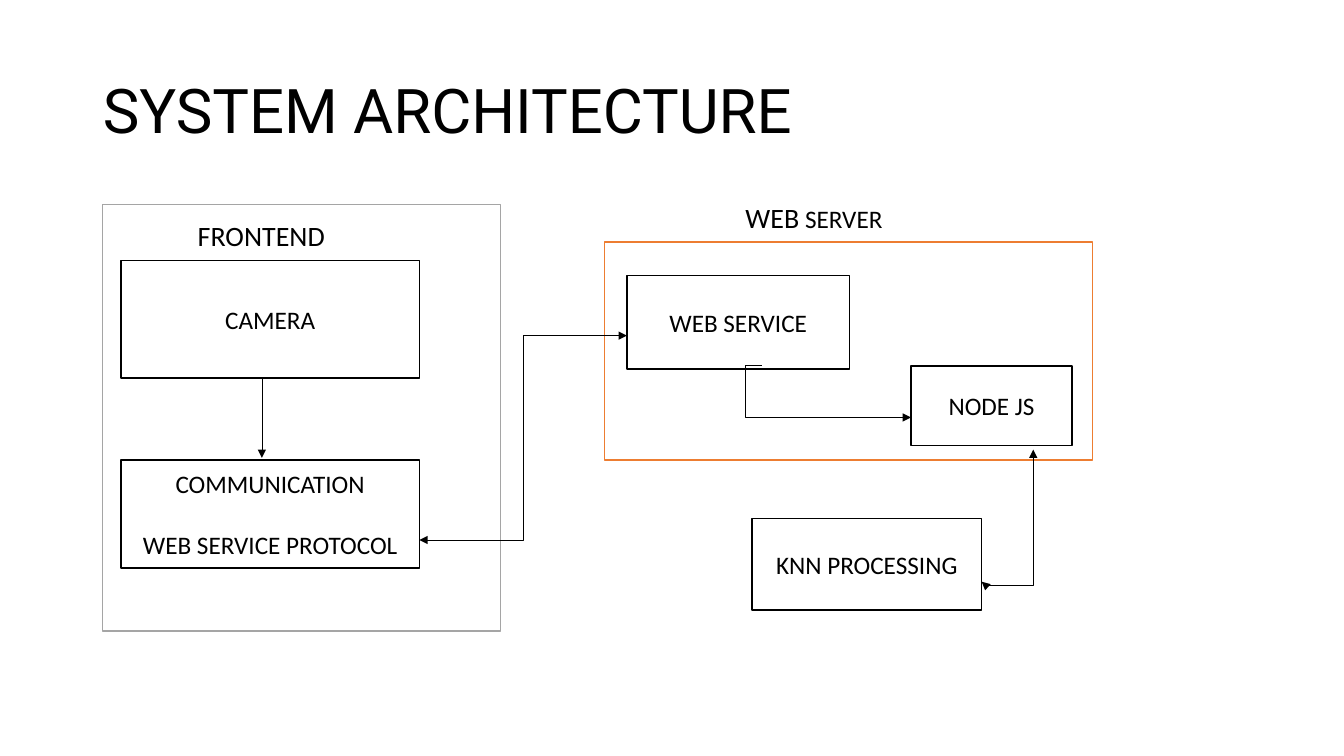
from dataclasses import dataclass

from lxml.etree import SubElement
from pptx import Presentation
from pptx.dml.color import RGBColor
from pptx.enum.shapes import MSO_CONNECTOR, MSO_SHAPE
from pptx.enum.text import MSO_ANCHOR, MSO_AUTO_SIZE, PP_ALIGN
from pptx.oxml.ns import qn
from pptx.util import Cm, Pt


@dataclass(frozen=True)
class Theme:
    ink: RGBColor = RGBColor(0x00, 0x00, 0x00)
    paper: RGBColor = RGBColor(0xFF, 0xFF, 0xFF)
    frontend: RGBColor = RGBColor(0xA5, 0xA5, 0xA5)
    server: RGBColor = RGBColor(0xED, 0x7D, 0x31)
    title_font: str = "Roboto"
    body_font: str = "Calibri"
    title_size: Pt = Pt(44)
    label_size: Pt = Pt(20)
    body_size: Pt = Pt(18)
    paragraph_gap: Pt = Pt(22)
    outline: Pt = Pt(1)
    link: Pt = Pt(0.5)


THEME = Theme()


@dataclass(frozen=True)
class Box:
    """A rectangle in centimetres."""
    left: float
    top: float
    width: float
    height: float

    def inside(self, left, top, width, height):
        return Box(self.left + left, self.top + top, width, height)

    def point(self, across, down):
        return self.left + across, self.top + down

    def lengths(self):
        return Cm(self.left), Cm(self.top), Cm(self.width), Cm(self.height)


def format_font(font, size, name=THEME.body_font):
    font.size = size
    font.name = name
    font.color.rgb = THEME.ink


# Building blocks
def add_block(page, box, lines=(), outline=THEME.ink):
    block = page.shapes.add_shape(MSO_SHAPE.RECTANGLE, *box.lengths())
    block.shadow.inherit = False
    block.fill.solid()
    block.fill.fore_color.rgb = THEME.paper
    block.line.color.rgb = outline
    block.line.width = THEME.outline
    frame = block.text_frame
    frame.vertical_anchor = MSO_ANCHOR.MIDDLE
    for index, line in enumerate(lines):
        para = frame.add_paragraph() if index else frame.paragraphs[0]
        para.text = line
        para.alignment = PP_ALIGN.CENTER
        para.space_before = THEME.paragraph_gap if index else Pt(0)
        format_font(para.font, THEME.body_size)


def add_label(page, box, spans):
    label = page.shapes.add_textbox(*box.lengths())
    frame = label.text_frame
    frame.word_wrap = False
    frame.auto_size = MSO_AUTO_SIZE.SHAPE_TO_FIT_TEXT
    para = frame.paragraphs[0]
    para.alignment = PP_ALIGN.CENTER
    format_font(para.font, THEME.label_size)
    for text, size in spans:
        span = para.add_run()
        span.text = text
        if size != THEME.label_size:
            span.font.size = size


def add_link(page, start, end, kind=MSO_CONNECTOR.ELBOW, both_ways=False,
             bend=None, upright=False):
    (x1, y1), (x2, y2) = start, end
    if upright:
        # A quarter turn about the centre makes the outer legs vertical
        middle_x, middle_y = (x1 + x2) / 2, (y1 + y2) / 2
        half_x, half_y = (x2 - x1) / 2, (y2 - y1) / 2
        x1, y1 = middle_x - half_y, middle_y + half_x
        x2, y2 = middle_x + half_y, middle_y - half_x
    link = page.shapes.add_connector(kind, Cm(x1), Cm(y1), Cm(x2), Cm(y2))
    link.line.color.rgb = THEME.ink
    link.line.width = THEME.link
    properties = link._element.spPr
    if upright:
        properties.find(qn("a:xfrm")).set("rot", str(90 * 60000))
    if bend is not None:
        adjustments = properties.find(qn("a:prstGeom")).find(qn("a:avLst"))
        SubElement(adjustments, qn("a:gd"), name="adj1",
                   fmla=f"val {round(bend * 100000)}")
    line = properties.find(qn("a:ln"))
    if both_ways:
        SubElement(line, qn("a:headEnd"), type="triangle")
    SubElement(line, qn("a:tailEnd"), type="triangle")
    SubElement(properties, qn("a:effectLst"))


# Regions
def place_title(page, box):
    title = page.shapes.title
    title.left, title.top, title.width, title.height = box.lengths()
    frame = title.text_frame
    frame.vertical_anchor = MSO_ANCHOR.MIDDLE
    frame.auto_size = MSO_AUTO_SIZE.NONE
    para = frame.paragraphs[0]
    para.text = "SYSTEM ARCHITECTURE"
    para.alignment = PP_ALIGN.LEFT
    para.line_spacing = 0.9
    format_font(para.font, THEME.title_size, THEME.title_font)


def draw_frontend(page, box):
    add_block(page, box, outline=THEME.frontend)
    add_block(page, box.inside(0.46, 1.4, 7.52, 2.97), ["CAMERA"])
    add_block(page, box.inside(0.46, 6.43, 7.52, 2.72),
              ["COMMUNICATION", "WEB SERVICE PROTOCOL"])
    add_link(page, box.point(4.01, 4.37), box.point(4.01, 6.38),
             MSO_CONNECTOR.STRAIGHT)
    add_label(page, box.inside(2.13, 0.23, 3.73, 1.12),
              [("FRONTEND", THEME.label_size)])


def draw_web_server(page, box):
    add_block(page, box, outline=THEME.server)
    add_block(page, box.inside(0.56, 0.84, 5.61, 2.36), ["WEB SERVICE"])
    add_block(page, box.inside(7.72, 3.12, 4.06, 2.01), ["NODE JS"])
    add_link(page, box.point(3.96, 3.12), box.point(7.72, 4.42), bend=-0.11)
    add_label(page, box.inside(3.28, -1.17, 3.99, 1.12),
              [("WEB", THEME.label_size), (" SERVER", THEME.body_size)])


def draw_processing(page, box):
    add_block(page, box, ["KNN PROCESSING"])


def draw_region_links(page, frontend, server, processing):
    add_link(page, frontend.point(7.98, 8.45), server.point(0.56, 2.36),
             both_ways=True)
    add_link(page, processing.point(5.79, 1.6), server.point(10.8, 5.23),
             both_ways=True, bend=-0.03, upright=True)


def main():
    deck = Presentation()
    deck.slide_width, deck.slide_height = Cm(33.87), Cm(19.05)
    page = deck.slides.add_slide(deck.slide_layouts.get_by_name("Title Only"))

    frontend = Box(2.59, 5.16, 10.03, 10.74)
    server = Box(15.24, 6.1, 12.29, 5.49)
    processing = Box(18.95, 13.06, 5.79, 2.31)

    place_title(page, Box(2.34, 1.02, 29.21, 3.68))
    draw_frontend(page, frontend)
    draw_web_server(page, server)
    draw_processing(page, processing)
    draw_region_links(page, frontend, server, processing)
    deck.save("out.pptx")


if __name__ == "__main__":
    main()
